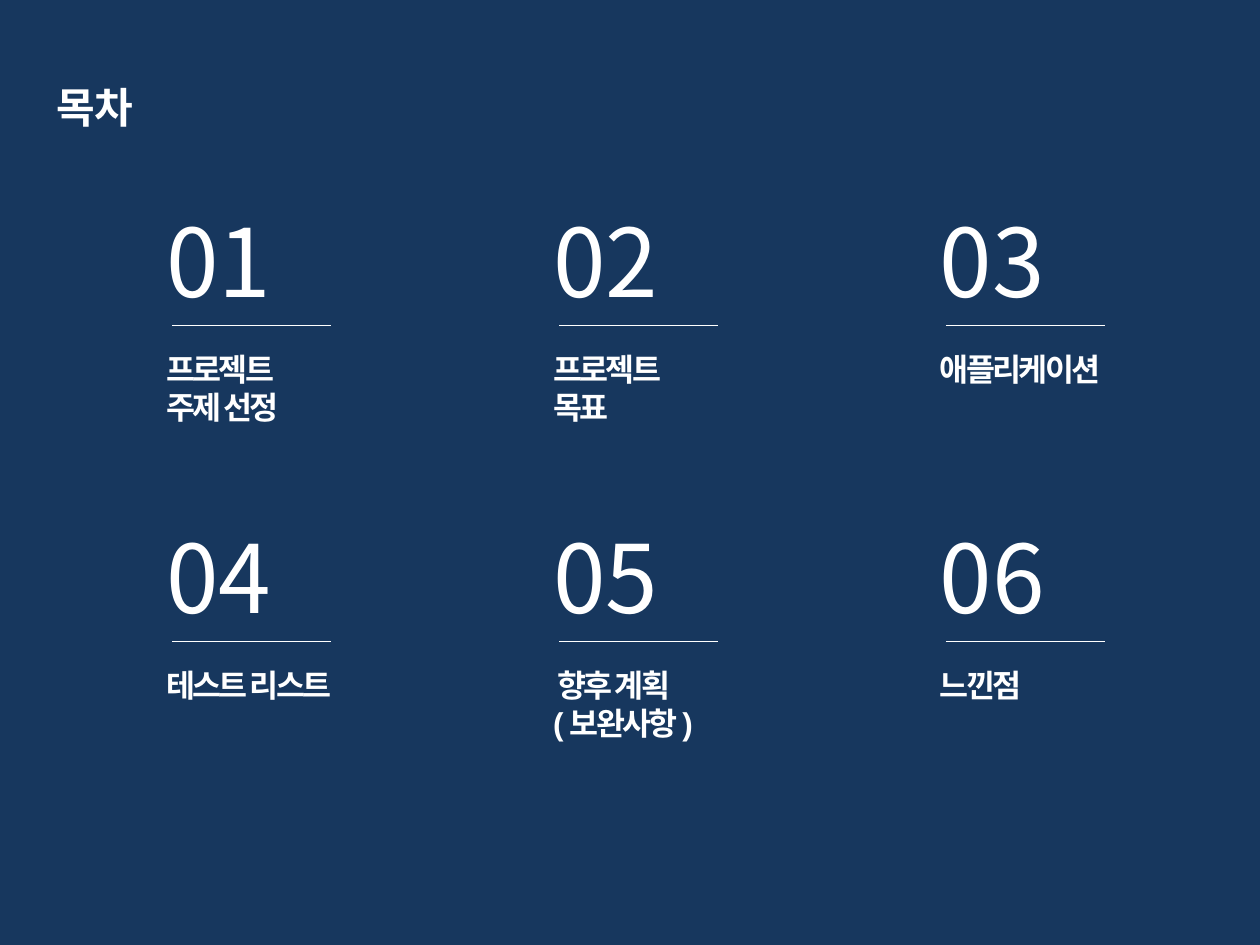
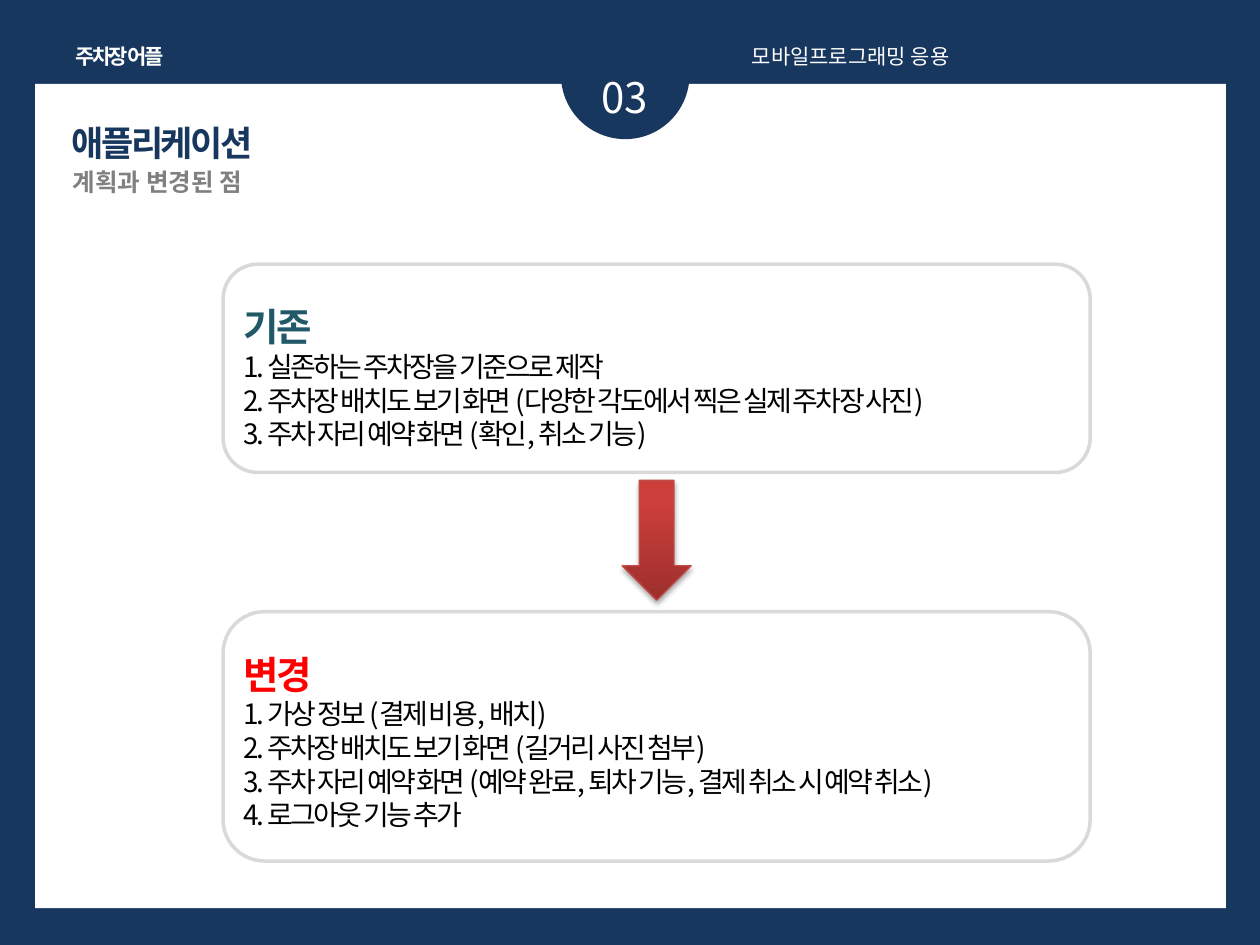
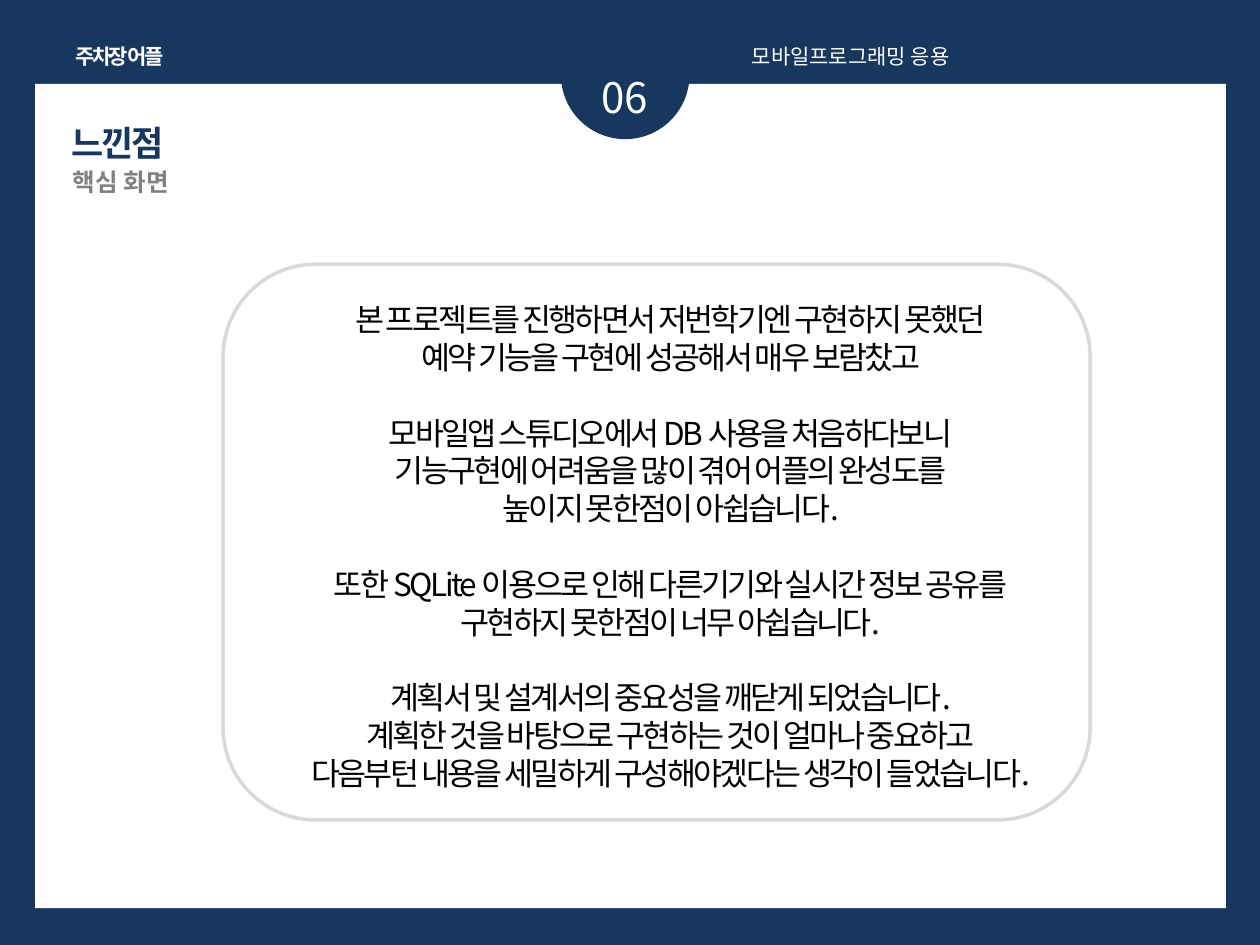
import pptx
import pptx.util
import pptx.dml.color
import pptx.enum.shapes
import pptx.enum.text
import pptx.oxml
import pptx.oxml.ns

Pt = pptx.util.Pt
SHAPE = pptx.enum.shapes.MSO_SHAPE
ALIGN = pptx.enum.text.PP_ALIGN

# Shared look
NAVY, WHITE, BLACK = "17375E", "FFFFFF", "000000"
GREY, PALE_GREY, TEAL, RED = "808080", "D9D9D9", "215968", "FF0000"
KOREAN, LATIN = "Noto Sans CJK KR", "Arial"
TIGHT = -150
SLIDE_W, SLIDE_H = 720, 540
PANEL_X, PANEL_W = 127.5, 495.5

CONTENTS = [
    ("01", ["프로젝트", "주제 선정"]),
    ("02", ["프로젝트", "목표"]),
    ("03", ["애플리케이션"]),
    ("04", ["테스트 리스트"]),
    ("05", [" 향후 계획", "( 보완사항 )"]),
    ("06", ["느낀점"]),
]
BEFORE = [
    "1. 실존하는 주차장을 기준으로 제작",
    "2. 주차장 배치도 보기 화면 (다양한 각도에서 찍은 실제 주차장 사진)",
    "3. 주차 자리 예약 화면 (확인, 취소 기능)",
]
AFTER = [
    "1. 가상 정보 (결제 비용, 배치)",
    "2. 주차장 배치도 보기 화면 (길거리 사진 첨부)",
    "3. 주차 자리 예약 화면 (예약 완료, 퇴차 기능, 결제 취소 시 예약 취소)",
    "4. 로그아웃 기능 추가",
]
REFLECTIONS = [
    ["본 프로젝트를 진행하면서 저번학기엔 구현하지 못했던",
     "예약 기능을 구현에 성공해서 매우 보람찼고"],
    ["모바일앱 스튜디오에서 DB 사용을 처음하다보니",
     "기능구현에 어려움을 많이 겪어 어플의 완성도를",
     "높이지 못한점이 아쉽습니다."],
    ["또한 SQLite 이용으로 인해 다른기기와 실시간 정보 공유를",
     "구현하지 못한점이 너무 아쉽습니다."],
    ["계획서 및 설계서의 중요성을 깨닫게 되었습니다.",
     "계획한 것을 바탕으로 구현하는 것이 얼마나 중요하고",
     "다음부턴 내용을 세밀하게 구성해야겠다는 생각이 들었습니다."],
]


def rgb(value):
    return pptx.dml.color.RGBColor.from_string(value)


def add_slide(deck):
    slide = deck.slides.add_slide(deck.slide_layouts[6])
    slide.background.fill.solid()
    slide.background.fill.fore_color.rgb = rgb(NAVY)
    return slide


def add_frame(slide, x, y, w, h, wrap=True):
    frame = slide.shapes.add_textbox(Pt(x), Pt(y), Pt(w), Pt(h)).text_frame
    frame.word_wrap = wrap
    return frame


def add_line(frame, text, size, color, bold=False, font=KOREAN, spacing=0,
             align=ALIGN.LEFT):
    """Write one paragraph, using the empty first one when it is free."""
    first = frame.paragraphs[0]
    line = frame.add_paragraph() if first.runs else first
    line.alignment = align
    run = line.add_run()
    run.text = text
    run.font.size, run.font.bold, run.font.name = Pt(size), bold, font
    run.font.color.rgb = rgb(color)
    props = run._r.get_or_add_rPr()
    if spacing:
        props.set("spc", str(spacing))
    east_asian = pptx.oxml.parse_xml(
        f'<a:ea {pptx.oxml.ns.nsdecls("a")} typeface="{KOREAN}"/>')
    props.find(pptx.oxml.ns.qn("a:latin")).addnext(east_asian)
    return line


def add_block(slide, kind, x, y, w, h, fill=None, outline=None):
    block = slide.shapes.add_shape(kind, Pt(x), Pt(y), Pt(w), Pt(h))
    block.shadow.inherit = False
    if fill:
        block.fill.solid()
        block.fill.fore_color.rgb = rgb(fill)
    else:
        block.fill.background()
    if outline:
        block.line.color.rgb = rgb(outline)
        block.line.width = Pt(2)
    else:
        block.line.fill.background()
    return block


def add_entry(slide, x, y, number, label):
    """One contents entry: number, rule and label."""
    add_line(add_frame(slide, x, y, 108, 73), number, 54, WHITE)
    rule = slide.shapes.add_connector(
        pptx.enum.shapes.MSO_CONNECTOR.STRAIGHT,
        Pt(x + 10.5), Pt(y + 73.5), Pt(x + 101.25), Pt(y + 73.5))
    rule.line.color.rgb = rgb(WHITE)
    rule.line.width = Pt(0.75)
    rule._element.spPr.append(pptx.oxml.parse_xml(
        f'<a:effectLst {pptx.oxml.ns.nsdecls("a")}/>'))
    frame = add_frame(slide, x, y + 84, 119.5, 28.8 * len(label))
    for text in label:
        add_line(frame, text, 18, WHITE, True, LATIN, TIGHT)


def add_page(slide, number, title, subtitle):
    """White page with header texts, number tab and titles."""
    add_block(slide, SHAPE.RECTANGLE, 20, 48, 680.5, 471, fill=WHITE)
    add_block(slide, SHAPE.OVAL, 320.5, 6, 73.5, 73.5, fill=NAVY)
    add_line(add_frame(slide, 314.5, 37.5, 85, 36), number, 24, WHITE,
             align=ALIGN.CENTER)
    add_line(add_frame(slide, 33, 21.5, 70.5, 21.5, wrap=False), "주차장 어플", 12,
             WHITE, True, spacing=TIGHT, align=ALIGN.CENTER)
    add_line(add_frame(slide, 422.5, 21.5, 283.5, 21.5), "모바일프로그래밍 응용", 12,
             WHITE, align=ALIGN.JUSTIFY)
    add_line(add_frame(slide, 34, 66, 139, 31.5), title, 20, NAVY, True,
             LATIN, TIGHT)
    add_line(add_frame(slide, 34.5, 92, 255, 24.5), subtitle, 14, GREY, True)


def add_plan(slide, x, y, w, h, heading, color, items):
    """Rounded panel with a coloured heading over numbered items."""
    frame = add_frame(slide, x + 4.5, y - 7.5, w - 4, h + 15)
    add_line(frame, heading, 22, color, True, spacing=TIGHT).line_spacing = 2.0
    for item in items:
        add_line(frame, item, 16, BLACK, spacing=TIGHT)
    add_block(slide, SHAPE.ROUNDED_RECTANGLE, x, y, w, h, outline=PALE_GREY)


def add_change_arrow(slide, x, y, w, h):
    arrow = add_block(slide, SHAPE.DOWN_ARROW, x, y, w, h, outline="BF4C48")
    arrow.line.width = Pt(0.75)
    arrow.fill.gradient()
    arrow.fill.gradient_angle = 90
    shades = [(0, "9C2F2D"), (0.8, "CB3E3A")]
    for stop, (position, color) in zip(arrow.fill.gradient_stops, shades):
        stop.position = position
        stop.color.rgb = rgb(color)
    # Soft shadow below the arrow
    effects = arrow._element.spPr.find(pptx.oxml.ns.qn("a:effectLst"))
    effects.append(pptx.oxml.parse_xml(
        f'<a:outerShdw {pptx.oxml.ns.nsdecls("a")} blurRad="{Pt(3.1)}" '
        f'dist="{Pt(1.8)}" dir="5400000" rotWithShape="0">'
        f'<a:srgbClr val="{BLACK}"><a:alpha val="35000"/></a:srgbClr>'
        '</a:outerShdw>'))


def add_reflections(slide, x, y, w, h):
    add_block(slide, SHAPE.ROUNDED_RECTANGLE, x, y, w, h, outline=PALE_GREY)
    frame = add_frame(slide, x + 29, y + 17, w - 42, h - 27)
    for index, thought in enumerate(REFLECTIONS):
        for row, text in enumerate(thought):
            line = add_line(frame, text, 18, BLACK, spacing=TIGHT,
                            align=ALIGN.CENTER)
            if index and row == 0:
                line.space_before = Pt(21.6)


def build_contents(deck):
    slide = add_slide(deck)
    add_line(add_frame(slide, 25, 43, 329, 36), "목차", 24, WHITE, True)
    for index, (number, label) in enumerate(CONTENTS):
        row, column = divmod(index, 3)
        add_entry(slide, 88 + 221 * column, 112.5 + 180.5 * row, number, label)


def build_changes(deck):
    slide = add_slide(deck)
    add_page(slide, "03", "애플리케이션", "계획과 변경된 점")
    add_plan(slide, PANEL_X, 151, PANEL_W, 119, "기존", TEAL, BEFORE)
    add_plan(slide, PANEL_X, 349.5, PANEL_W, 142.5, "변경", RED, AFTER)
    add_change_arrow(slide, 355.5, 274.5, 39.5, 68.5)


def build_closing(deck):
    slide = add_slide(deck)
    add_page(slide, "06", "느낀점", "핵심 화면")
    add_reflections(slide, PANEL_X, 151, PANEL_W, 317.5)


def main():
    deck = pptx.Presentation()
    deck.slide_width, deck.slide_height = Pt(SLIDE_W), Pt(SLIDE_H)
    build_contents(deck)
    build_changes(deck)
    build_closing(deck)
    deck.save("out.pptx")


if __name__ == "__main__":
    main()
